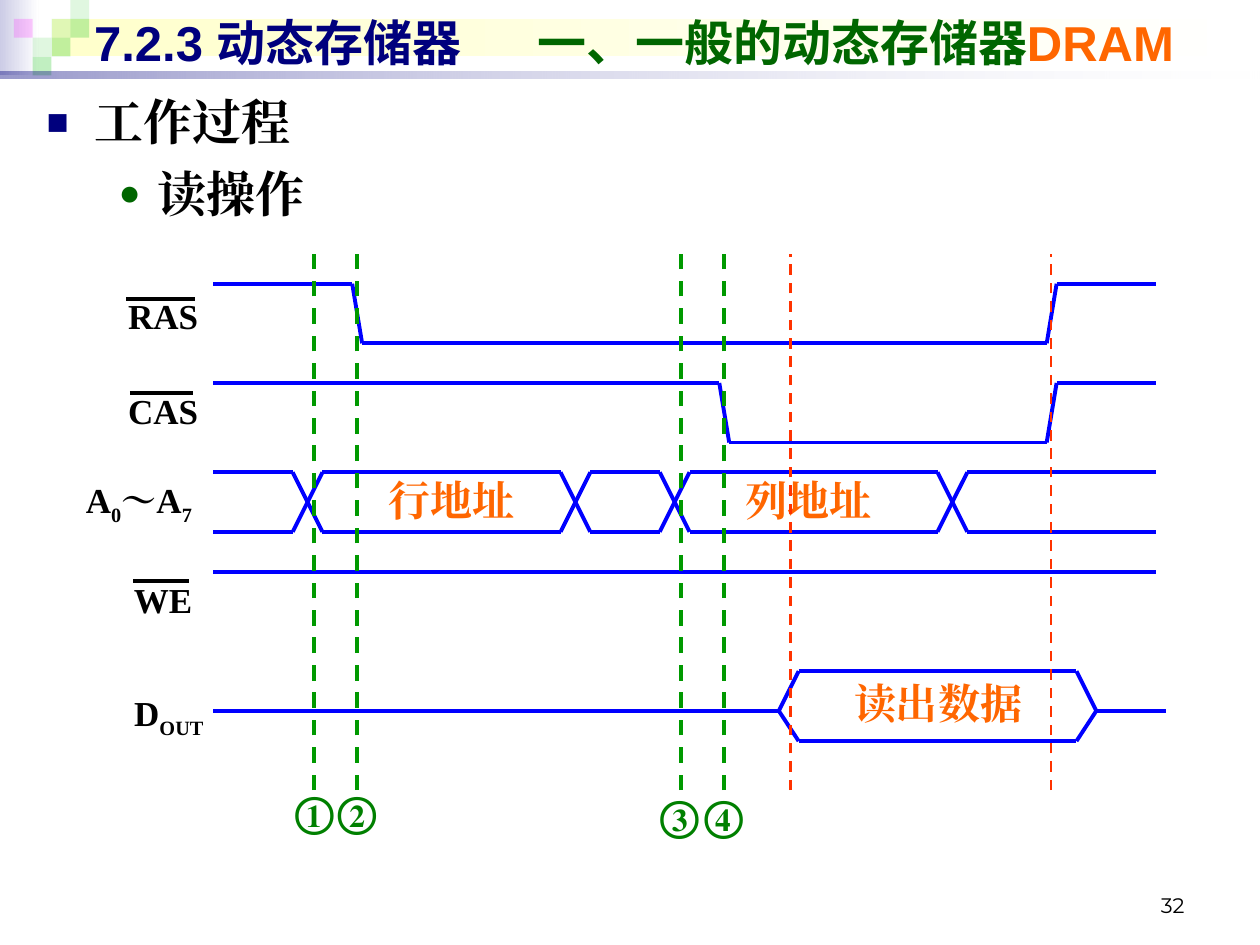
import itertools
import pptx
import pptx.util
import pptx.dml.color
import pptx.enum.dml
import pptx.enum.shapes
import pptx.enum.text
import pptx.oxml.ns
from lxml import etree

Cm, Pt = pptx.util.Cm, pptx.util.Pt
ALIGN = pptx.enum.text.PP_ALIGN
ANCHOR = pptx.enum.text.MSO_ANCHOR
DASH = pptx.enum.dml.MSO_LINE.DASH
qn = pptx.oxml.ns.qn

SERIF = "Times New Roman"
BLACK, NAVY, BLUE, ORANGE = "000000", "00007D", "0000FF", "FF6600"
LEFT, RIGHT = 4.3, 23.3            # ends of the signals
FALL, RISE = 7.1, 21.1             # row strobe edges
SLOPE = 0.2


def color(text):
    return pptx.dml.color.RGBColor.from_string(text)


def node(parent, tag, **attrs):
    item = etree.SubElement(parent, qn(tag))
    for key, value in attrs.items():
        item.set(key, str(value))
    return item


def block(slide, x, y, w, h, fills, alphas=()):
    """Rectangle with one plain colour or a left-to-right gradient."""
    kind = pptx.enum.shapes.MSO_SHAPE.RECTANGLE
    shape = slide.shapes.add_shape(kind, Cm(x), Cm(y), Cm(w), Cm(h))
    shape.shadow.inherit = False
    shape.line.fill.background()
    if len(fills) == 1:
        shape.fill.solid()
        shape.fill.fore_color.rgb = color(fills[0])
    else:
        shape.fill.gradient()
        shape.fill.gradient_angle = 0
        for stop, tone in zip(shape.fill.gradient_stops, fills):
            stop.color.rgb = color(tone)
    tones = shape._element.spPr.iter(qn("a:srgbClr"))
    for tone, alpha in zip(list(tones), alphas):
        node(tone, "a:alpha", val=alpha * 1000)


def line(slide, start, end, tone=BLUE, width=2.24, dash=None):
    kind = pptx.enum.shapes.MSO_CONNECTOR.STRAIGHT
    item = slide.shapes.add_connector(kind, *map(Cm, start + end))
    item.line.color.rgb = color(tone)
    item.line.width = Pt(width)
    if dash:
        item.line.dash_style = dash
    node(item._element.spPr, "a:effectLst")


def trace(slide, *points):
    for start, end in itertools.pairwise(points):
        line(slide, start, end)


def style(run, size, tone, font=SERIF, bold=True):
    run.font.size = Pt(size)
    run.font.name = font
    run.font.bold = bold
    run.font.color.rgb = color(tone)
    node(run._r.get_or_add_rPr(), "a:ea", typeface=font)


def frame(slide, x, y, w, h, wrap=True, anchor=ANCHOR.TOP):
    box = slide.shapes.add_textbox(Cm(x), Cm(y), Cm(w), Cm(h))
    box.text_frame.word_wrap = wrap
    box.text_frame.vertical_anchor = anchor
    return box.text_frame


def label(slide, x, y, w, parts, size=20, tone=BLACK):
    """Centred label; every second part is a subscript."""
    para = frame(slide, x, y, w, 1.2, wrap=False).paragraphs[0]
    para.alignment = ALIGN.CENTER
    for index, part in enumerate(parts):
        run = para.add_run()
        run.text = part
        style(run, size, tone)
        if index % 2:
            run._r.get_or_add_rPr().set("baseline", "-25000")


def bullet(para, margin, indent, mark, tone):
    props = para._p.get_or_add_pPr()
    props.set("marL", str(Cm(margin)))
    props.set("indent", str(Cm(indent)))
    node(node(props, "a:buClr"), "a:srgbClr", val=tone)
    node(props, "a:buSzPct", val=75000)
    node(props, "a:buFont", typeface="Arial")
    node(props, "a:buChar", char=mark)


def banner(slide):
    block(slide, 0, 0, 0.78, 1.52, ["CCCCE6", "FFFFFF"])
    block(slide, 1.04, 0.38, 24.26, 0.76, ["FFFFCC", "FFFFFF"])
    size = 0.38
    green, pink = "33CC33", "FF00FF"
    for col, row, tone, alpha in [
            (2, 1, green, 15), (3, 0, green, 15), (3, 1, green, 30),
            (1, 2, green, 15), (0, 1, pink, 20), (2, 2, green, 30),
            (1, 3, green, 30)]:
        block(slide, 0.28 + col * size, row * size, size, size, [tone], [alpha])
    block(slide, 0, 1.44, 25.4, 0.14, [NAVY, "FFFFFF"], [40, 10])


def heads(slide):
    # Title, with a tab stop between its two halves
    para = frame(slide, 1.65, 0.13, 23.27, 1.45, anchor=ANCHOR.MIDDLE).paragraphs[0]
    tabs = node(para._p.get_or_add_pPr(), "a:tabLst")
    node(tabs, "a:tab", pos=Cm(8.94), algn="l")
    for part, tone in [("7.2.3 动态存储器\t", NAVY),
                       ("一、一般的动态存储器", "006600"), ("DRAM", ORANGE)]:
        run = para.add_run()
        run.text = part
        style(run, 28, tone, "Arial")

    # Outline
    body = frame(slide, 0.69, 1.73, 13.41, 16.61)
    body.text = "工作过程\n读操作"
    marks = [(0.97, -0.97, "■", NAVY), (2.24, -0.79, "●", "006600")]
    for level, (para, mark) in enumerate(zip(body.paragraphs, marks)):
        para.level = level
        para.space_before = Pt(7)
        bullet(para, *mark)
        style(para.runs[0], 28, BLACK)

    # Page number
    page = frame(slide, 18.21, 17.35, 5.92, 1.27, anchor=ANCHOR.BOTTOM)
    page.text = "32"
    page.paragraphs[0].alignment = ALIGN.RIGHT
    style(page.paragraphs[0].runs[0], 12, BLACK, "Montserrat", False)


def strobe(slide, fall, high):
    low = high + 1.2
    trace(slide, (LEFT, high), (fall, high), (fall + SLOPE, low),
          (RISE, low), (RISE + SLOPE, high), (RIGHT, high))


def bus(slide, top, low):
    start = LEFT
    for cross in (5.9, 11.3, 13.3, 18.9):
        end = cross + 0.6
        trace(slide, (start, top), (cross, top), (end, low))
        trace(slide, (start, low), (cross, low), (end, top))
        start = end
    for y in (top, low):
        line(slide, (start, y), (RIGHT, y))


def output(slide, top, mid, low):
    line(slide, (LEFT, mid), (15.7, mid))
    for y in (top, low):
        trace(slide, (15.7, mid), (16.1, y), (21.7, y), (22.1, mid))
    line(slide, (22.1, mid), (23.5, mid))


def main():
    deck = pptx.Presentation()
    deck.slide_width, deck.slide_height = Cm(25.4), Cm(19.05)
    slide = deck.slides.add_slide(deck.slide_layouts[6])
    banner(slide)
    heads(slide)

    # Signals
    strobe(slide, FALL, 5.72)
    strobe(slide, 14.5, 7.72)
    bus(slide, 9.52, 10.72)
    line(slide, (LEFT, 11.53), (RIGHT, 11.53))
    output(slide, 13.53, 14.33, 14.94)

    # Signal names, with bars over the active-low ones
    for name, y, start, end, bar in [("RAS", 5.82, 2.54, 3.94, 6.02),
                                     ("CAS", 7.72, 2.62, 3.89, 7.92),
                                     ("WE", 11.53, 2.69, 3.81, 11.71)]:
        label(slide, 2.29, y, 2, [name])
        line(slide, (start, bar), (end, bar), BLACK)
    label(slide, 1.3, 9.53, 3, ["A", "0", "~A".replace("~", "～"), "7"])
    label(slide, 2.11, 13.82, 2.59, ["D", "OUT"])

    # Values on the signals
    for name, x, y, w in [("行地址", 7.11, 9.45, 4), ("列地址", 14.3, 9.45, 4),
                          ("读出数据", 16.31, 13.54, 5.2)]:
        label(slide, x, y, w, [name], 24, ORANGE)

    # Time marks
    for x, tone, width in [(6.33, "009900", 2.24), (7.2, "009900", 2.24),
                           (13.73, "009900", 2.24), (14.6, "009900", 2.24),
                           (15.93, "FF3300", 1.5), (21.19, "FF3300", 1.5)]:
        line(slide, (x, 15.93), (x, 5.13), tone, width, DASH)
    for name, x, y in [("①", 5.64, 15.72), ("②", 6.5, 15.72),
                       ("③", 13, 15.8), ("④", 13.89, 15.8)]:
        label(slide, x, y, 1.4, [name], 24, "008000")

    deck.save("out.pptx")


main()
